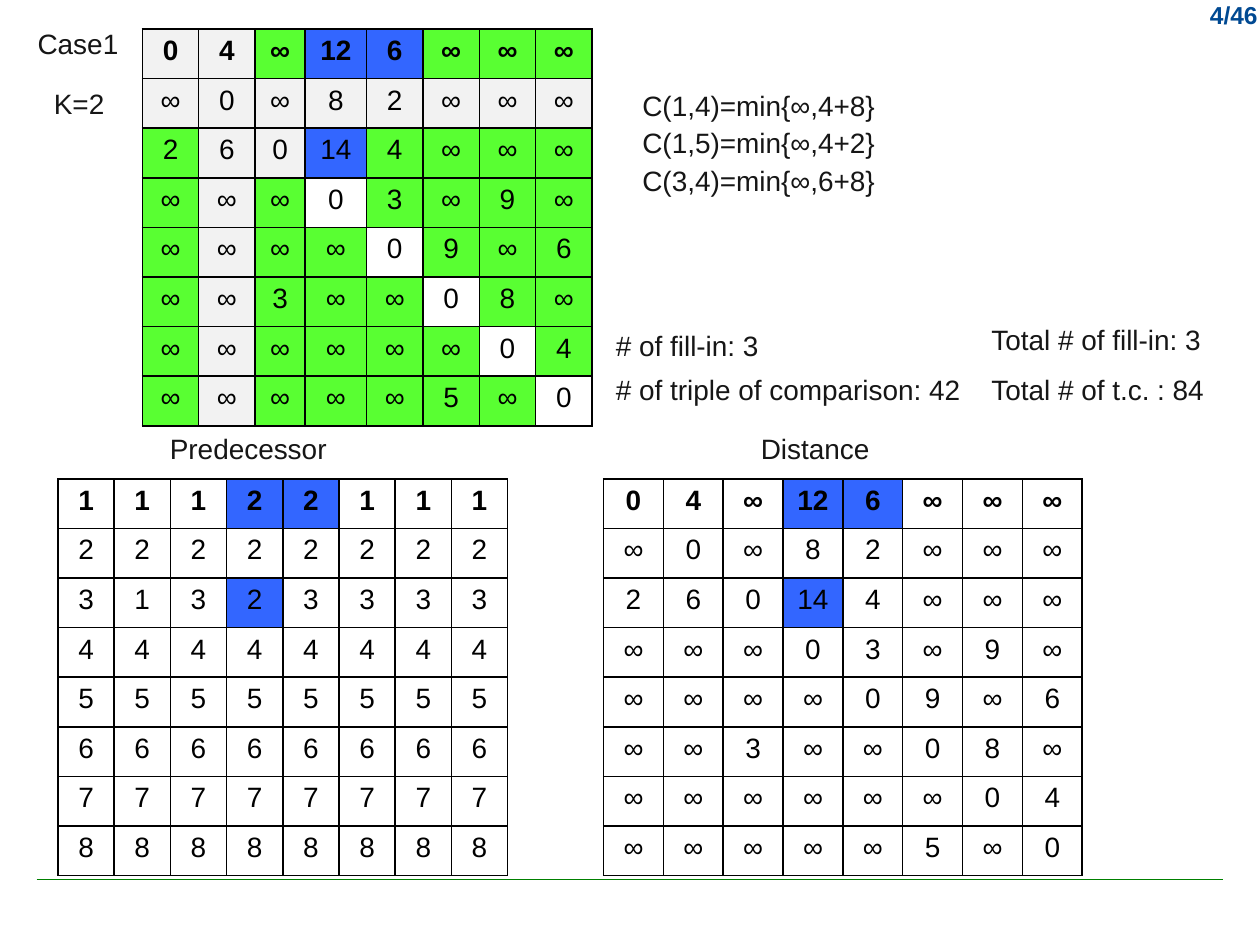
from lxml.etree import SubElement
from pptx import Presentation
from pptx.dml.color import RGBColor
from pptx.enum.text import PP_ALIGN
from pptx.oxml.ns import qn
from pptx.util import Inches, Pt

BLACK = RGBColor(0x00, 0x00, 0x00)
WHITE = RGBColor(0xFF, 0xFF, 0xFF)
INK = RGBColor(0x16, 0x16, 0x16)
NAVY = RGBColor(0x00, 0x49, 0x92)
RULE_GREEN = RGBColor(0x00, 0x80, 0x00)
GREY = RGBColor(0xF2, 0xF2, 0xF2)
GREEN = RGBColor(0x59, 0xFF, 0x32)
BLUE = RGBColor(0x33, 0x66, 0xFF)

SIZE = 8
PIVOT = 1  # zero-based index of K=2
UPDATED = {(0, 3), (0, 4), (2, 3)}

DISTANCE = [row.split() for row in (
    "0 4 ∞ 12 6 ∞ ∞ ∞",
    "∞ 0 ∞ 8 2 ∞ ∞ ∞",
    "2 6 0 14 4 ∞ ∞ ∞",
    "∞ ∞ ∞ 0 3 ∞ 9 ∞",
    "∞ ∞ ∞ ∞ 0 9 ∞ 6",
    "∞ ∞ 3 ∞ ∞ 0 8 ∞",
    "∞ ∞ ∞ ∞ ∞ ∞ 0 4",
    "∞ ∞ ∞ ∞ ∞ 5 ∞ 0",
)]
# Each vertex precedes itself, apart from the paths changed so far
PREDECESSOR = [[str(row + 1)] * SIZE for row in range(SIZE)]
PREDECESSOR[2][1] = "1"
for changed_row, changed_column in UPDATED:
    PREDECESSOR[changed_row][changed_column] = "2"

EVEN = [1] * SIZE
CASE_COLUMNS = [0.45, 0.45, 0.4, 0.49, 0.45, 0.45, 0.45, 0.45]

LABELS = [  # text, box, wrap
    ("Case1", (0.2, 0.16, 0.85, 0.37), False),
    ("K=2", (0.33, 0.64, 0.6, 0.37), False),
    ("Predecessor", (1.25, 3.38, 1.46, 0.37), False),
    ("Distance", (5.94, 3.38, 1.07, 0.37), False),
    ("C(1,4)=min{∞,4+8}", (5, 0.65, 2.33, 0.37), True),
    ("C(1,5)=min{∞,4+2}", (5, 0.95, 2.33, 0.37), True),
    ("C(3,4)=min{∞,6+8}", (5, 1.25, 2.33, 0.37), True),
    ("# of fill-in: 3", (4.79, 2.56, 1.36, 0.37), False),
    ("# of triple of comparison: 42", (4.79, 2.91, 2.97, 0.37), False),
    ("Total # of fill-in: 3", (7.77, 2.51, 1.88, 0.37), False),
    ("Total # of t.c. : 84", (7.77, 2.91, 1.92, 0.37), False),
]


def format_para(para, text, color, size=16, bold=False, align=PP_ALIGN.LEFT):
    para.alignment = align
    span = para.add_run()
    span.text = text
    for name, value in {"name": "Arial", "size": Pt(size), "bold": bold}.items():
        setattr(span.font, name, value)
    span.font.color.rgb = color


def add_label(page, text, box, wrap, color=INK, **style):
    frame = page.shapes.add_textbox(*map(Inches, box)).text_frame
    frame.word_wrap = wrap
    format_para(frame.paragraphs[0], text, color, **style)


def set_borders(cell):
    properties = cell._tc.get_or_add_tcPr()
    for position, side in enumerate(("a:lnL", "a:lnR", "a:lnT", "a:lnB")):
        line = SubElement(properties, qn(side), w=str(Pt(1)))
        fill = SubElement(line, qn("a:solidFill"))
        SubElement(fill, qn("a:srgbClr"), val=str(BLACK))
        properties.insert(position, line)  # borders precede the fill


def case_fill(row, column):
    if (row, column) in UPDATED:
        return BLUE
    if PIVOT in (row, column):
        return GREY
    if row == column:
        return GREY if row <= PIVOT + 1 else WHITE
    return GREY if (row, column) == (0, 0) else GREEN


def result_fill(row, column):
    return BLUE if (row, column) in UPDATED else WHITE


def add_matrix(page, box, values, fill_for, weights=EVEN):
    table = page.shapes.add_table(SIZE, SIZE, *map(Inches, box)).table
    table.first_row = table.horz_banding = False
    width, height = box[2:]
    for column, weight in zip(table.columns, weights):
        column.width = Inches(width * weight / sum(weights))
    for row, texts in enumerate(values):
        table.rows[row].height = Inches(height / SIZE)
        for column, text in enumerate(texts):
            cell = table.cell(row, column)
            cell.margin_left = cell.margin_right = Inches(0.05)
            cell.fill.solid()
            cell.fill.fore_color.rgb = fill_for(row, column)
            set_borders(cell)
            format_para(cell.text_frame.paragraphs[0], text, BLACK,
                        bold=row == 0, align=PP_ALIGN.CENTER)


def add_page_furniture(page):
    rule = page.shapes.add_connector(
        1, Inches(0.29), Inches(6.98), Inches(9.71), Inches(6.98))
    rule.line.color.rgb = RULE_GREEN
    rule.line.width = Pt(1)
    SubElement(rule._element.spPr, qn("a:effectLst"))
    add_label(page, "4/46", (9.17, -0.05, 0.91, 0.33), True, NAVY,
              size=14, bold=True, align=PP_ALIGN.RIGHT)


def main():
    deck = Presentation()
    deck.slide_width, deck.slide_height = Inches(10), Inches(7.5)
    page = deck.slides.add_slide(deck.slide_layouts[6])
    add_page_furniture(page)

    # Current case above, resulting matrices below
    add_matrix(page, (1.13, 0.23, 3.57, 3.15), DISTANCE, case_fill, CASE_COLUMNS)
    add_matrix(page, (0.46, 3.8, 3.57, 3.15), PREDECESSOR, result_fill)
    add_matrix(page, (4.79, 3.8, 3.8, 3.15), DISTANCE, result_fill)

    # Captions, updates and counts
    for text, box, wrap in LABELS:
        add_label(page, text, box, wrap)
    deck.save("out.pptx")


if __name__ == "__main__":
    main()
